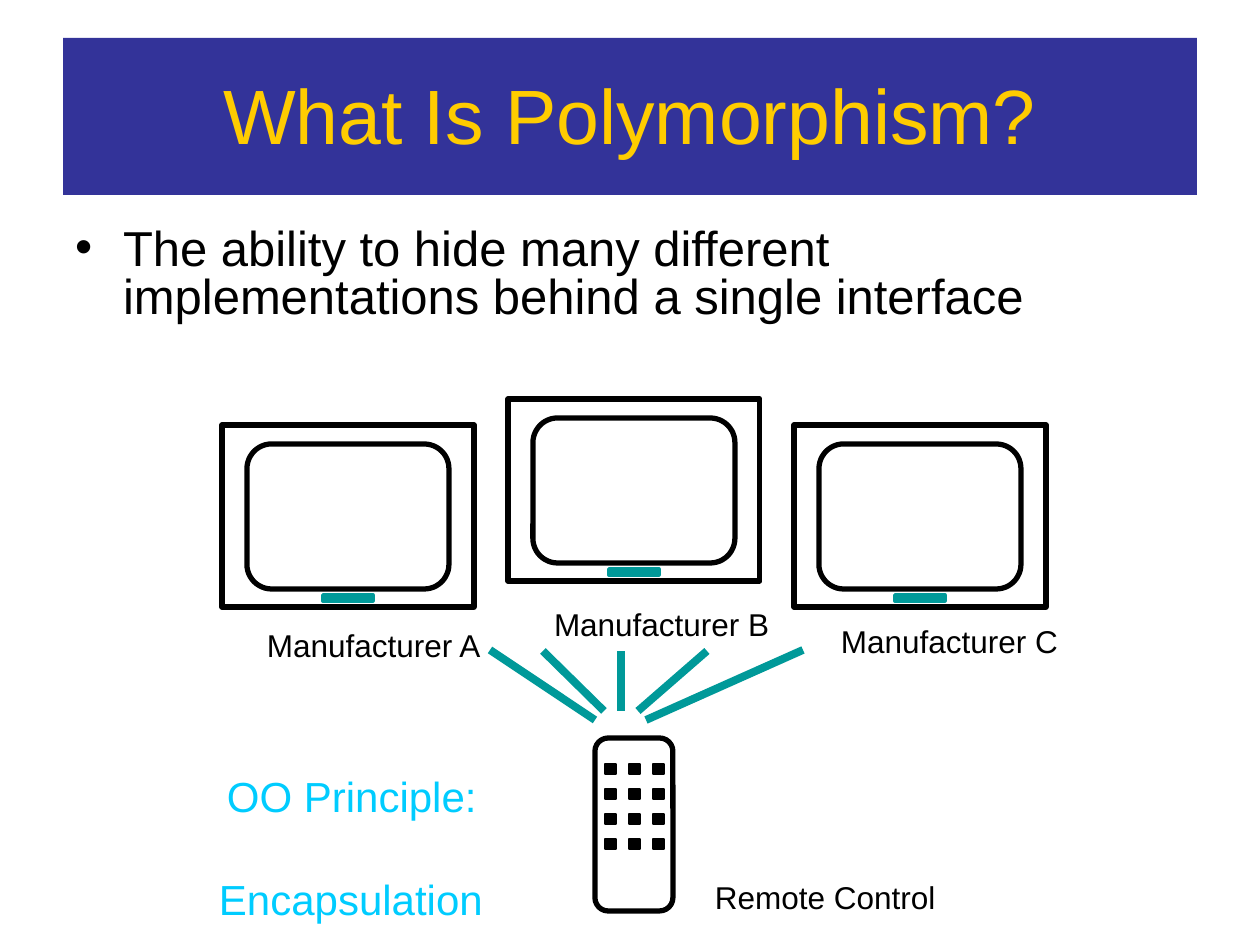
from dataclasses import dataclass
from itertools import product

from lxml import etree
from pptx import Presentation
from pptx import util as u
from pptx.dml.color import RGBColor
from pptx.enum import shapes, text
from pptx.oxml.ns import qn

PX = 914400 // 126  # EMU in one pixel


@dataclass(frozen=True)
class Theme:
    """Colours, font and type sizes of the slide."""
    banner: str = "333399"
    title: str = "FFCC00"
    ink: str = "000000"
    teal: str = "009999"
    principle: str = "00CCFF"
    font: str = "Arial"
    title_size: int = 44
    body_size: int = 28
    principle_size: int = 24
    label_size: int = 18


THEME = Theme()


def px(*lengths):
    """Turn pixels into EMU."""
    return [u.Emu(length * PX) for length in lengths]


def style(paragraph, size, color, align=text.PP_ALIGN.LEFT):
    """Set font and alignment of a paragraph."""
    paragraph.font.name = THEME.font
    paragraph.font.size = u.Pt(size)
    paragraph.font.color.rgb = RGBColor.from_string(color)
    paragraph.alignment = align


def set_frame(frame, top_inset, wrap=True):
    """Anchor a text frame at the top, with only a top inset."""
    frame.margin_left = frame.margin_right = frame.margin_bottom = 0
    frame.margin_top = top_inset * PX
    frame.vertical_anchor = text.MSO_ANCHOR.TOP
    frame.auto_size = text.MSO_AUTO_SIZE.NONE
    frame.word_wrap = wrap


def fill_placeholder(holder, box, top_inset, words):
    """Move a placeholder, write its text and return the paragraph."""
    holder.left, holder.top, holder.width, holder.height = px(*box)
    set_frame(holder.text_frame, top_inset)
    holder.text_frame.text = words
    return holder.text_frame.paragraphs[0]


def add_label(slide, box, lines, size, color):
    """Add a text box and return its paragraphs."""
    frame = slide.shapes.add_textbox(*px(*box)).text_frame
    set_frame(frame, 1, wrap=False)
    frame.text = "\n".join(lines)
    for paragraph in frame.paragraphs:
        style(paragraph, size, color)
    return frame.paragraphs


def add_box(group, box, color, weight, radius=None, filled=False):
    """Add an outlined or filled rectangle, rounded if a radius is given."""
    kind = shapes.MSO_SHAPE.ROUNDED_RECTANGLE if radius else shapes.MSO_SHAPE.RECTANGLE
    part = group.shapes.add_shape(kind, *px(*box))
    part.shadow.inherit = False
    if radius:
        part.adjustments[0] = round(radius / min(box[2:]), 2)
    if filled:
        part.fill.solid()
        part.fill.fore_color.rgb = RGBColor.from_string(color)
    else:
        part.fill.background()
    part.line.color.rgb = RGBColor.from_string(color)
    part.line.width = u.Pt(weight)


def add_beam(group, start, end):
    """Add one signal line of the remote control."""
    beam = group.shapes.add_connector(shapes.MSO_CONNECTOR.STRAIGHT, *px(*start, *end))
    beam.line.color.rgb = RGBColor.from_string(THEME.teal)
    beam.line.width = u.Pt(4.5)
    etree.SubElement(beam._element.spPr, qn("a:effectLst"))


def add_remote(slide):
    """Draw the remote control with its keys and signal."""
    remote = slide.shapes.add_group_shape()
    add_box(remote, (595, 738, 78, 173), THEME.ink, 3, radius=13)
    for row, column in product(range(4), range(3)):
        key = (605 + 24 * column, 764 + 25 * row, 11, 10)
        add_box(remote, key, THEME.ink, 1, filled=True)
    for start, end in (
        ((595, 720), (490, 650)),
        ((621, 711), (621, 651)),
        ((646, 720), (803, 650)),
        ((604, 711), (543, 651)),
        ((638, 711), (707, 651)),
    ):
        add_beam(remote, start, end)


def add_television(slide, left, top):
    """Draw a television: case, screen and front strip."""
    television = slide.shapes.add_group_shape()
    add_box(television, (left, top, 252, 182), THEME.ink, 3)
    add_box(television, (left + 25, top + 19, 202, 145), THEME.ink, 3, radius=25)
    add_box(television, (left + 101, top + 170, 50, 6), THEME.teal, 2, filled=True)


def main():
    """Build and save the slide."""
    deck = Presentation()
    deck.slide_width, deck.slide_height = u.Inches(10), u.Inches(7.5)
    slide = deck.slides.add_slide(deck.slide_layouts[1])

    banner = slide.shapes.title
    heading = fill_placeholder(banner, (63, 38, 1134, 157), 30, "What Is Polymorphism?")
    banner.fill.solid()
    banner.fill.fore_color.rgb = RGBColor.from_string(THEME.banner)
    style(heading, THEME.title_size, THEME.title, text.PP_ALIGN.CENTER)

    definition = fill_placeholder(
        slide.placeholders[1], (74, 213, 954, 108), 15,
        "The ability to hide many different implementations behind a single interface")
    style(definition, THEME.body_size, THEME.ink)
    definition.line_spacing = 0.82
    definition.space_before = u.Pt(0)
    properties = definition._p.get_or_add_pPr()
    properties.set("marL", str(49 * PX))
    properties.set("indent", str(-48 * PX))

    add_remote(slide)
    for index, (maker, case_top, label_top) in enumerate(
            (("A", 425, 625), ("B", 399, 604), ("C", 425, 621))):
        add_television(slide, 222 + 286 * index, case_top)
        add_label(slide, (267 + 287 * index, label_top, 218, 42),
                  [f"Manufacturer {maker}"], THEME.label_size, THEME.ink)

    lines = add_label(slide, (219, 770, 267, 155), ["OO Principle:", "Encapsulation"],
                      THEME.principle_size, THEME.principle)
    lines[0]._p.get_or_add_pPr().set("marL", str(8 * PX))
    lines[1].space_before = u.Pt(30)
    add_label(slide, (715, 877, 224, 42), ["Remote Control"], THEME.label_size, THEME.ink)

    deck.save("out.pptx")


main()
